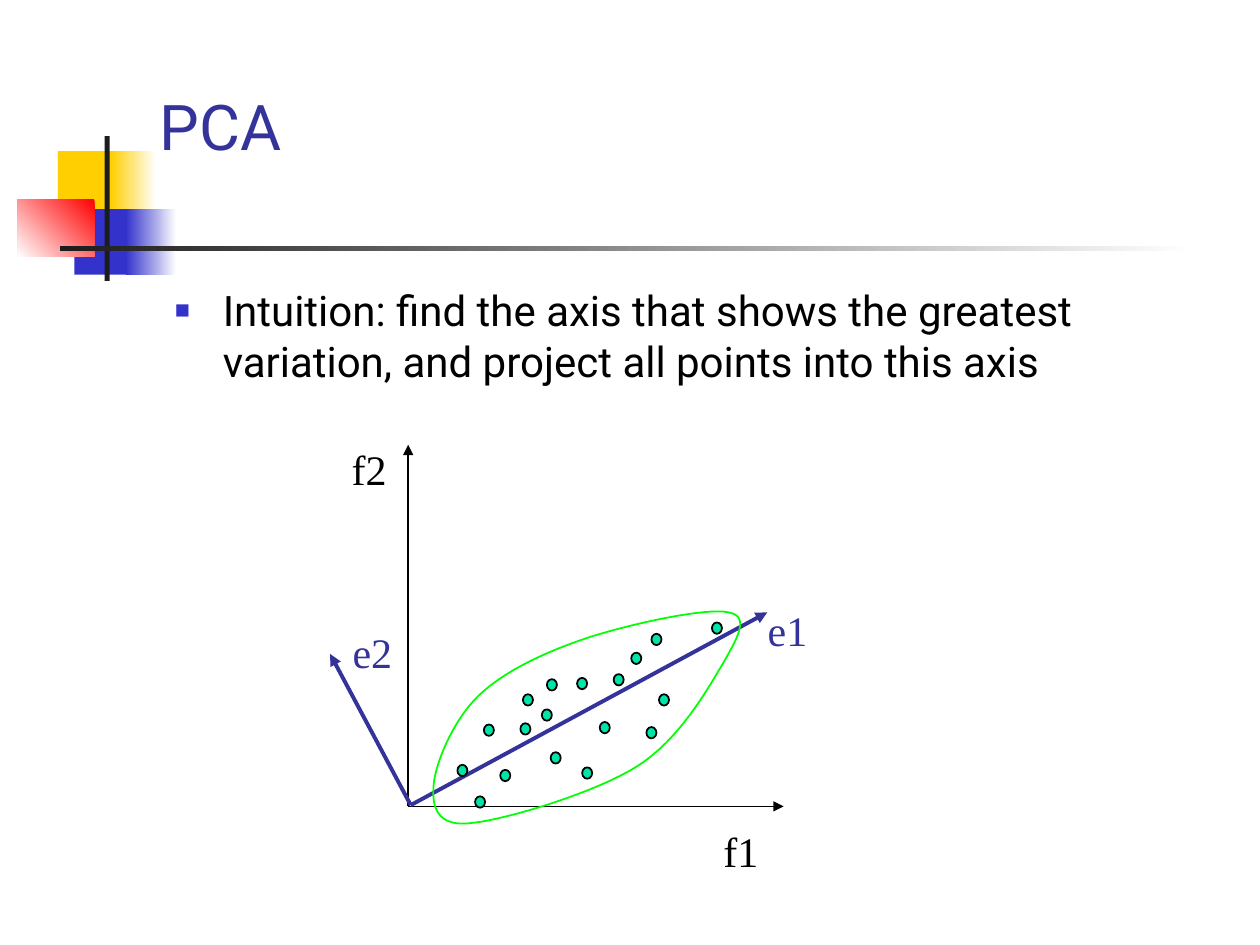
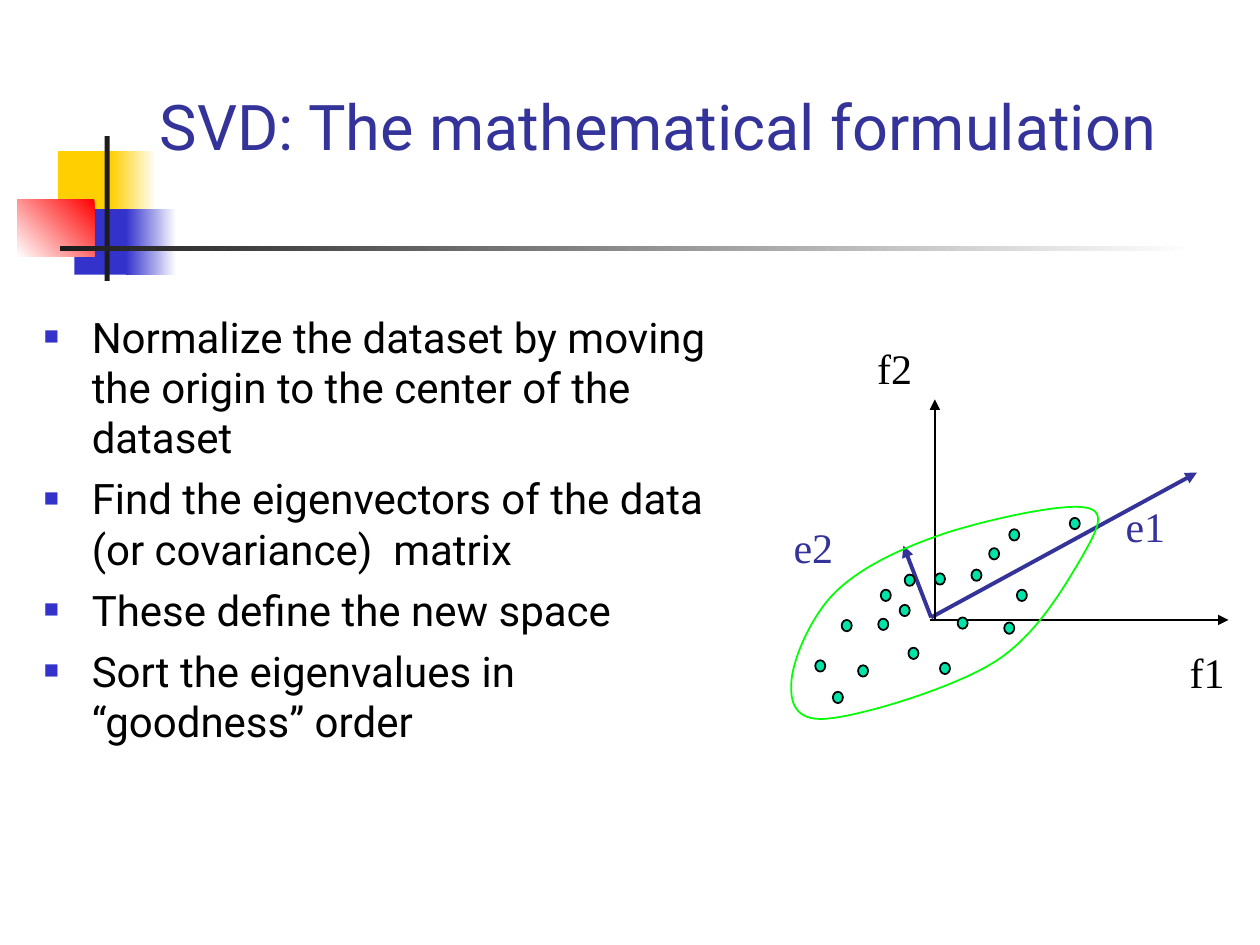
import dataclasses
import typing

import lxml.etree
import pptx
import pptx.dml.color
import pptx.enum.shapes
import pptx.enum.text
import pptx.oxml.ns
import pptx.shapes.autoshape
import pptx.slide
import pptx.text.text
import pptx.util

Inches = pptx.util.Inches
Pt = pptx.util.Pt
RGBColor = pptx.dml.color.RGBColor
Kind = pptx.enum.shapes.MSO_SHAPE
Anchor = pptx.enum.text.MSO_ANCHOR
qn = pptx.oxml.ns.qn
Spot = tuple[float, float]

# Colours and fonts
WHITE = RGBColor(0xFF, 0xFF, 0xFF)
BLACK = RGBColor(0x00, 0x00, 0x00)
DARK = RGBColor(0x1C, 0x1C, 0x1C)
GOLD = RGBColor(0xFF, 0xCF, 0x01)
BLUE = RGBColor(0x33, 0x33, 0xCC)
NAVY = RGBColor(0x33, 0x33, 0x99)
RED = RGBColor(0xFF, 0x00, 0x00)
MINT = RGBColor(0x00, 0xE4, 0xA8)
GREEN = RGBColor(0x00, 0xFF, 0x00)
SANS = "Roboto"
SERIF = "Times New Roman"
THIN, BOLD = 1, 2.25


@dataclasses.dataclass
class Band:
    left: float
    top: float
    width: float
    height: float
    start: RGBColor
    end: typing.Optional[RGBColor] = None
    angle: float = 180


@dataclasses.dataclass
class Arrow:
    start: Spot
    end: Spot
    color: RGBColor = BLACK
    weight: float = THIN


@dataclasses.dataclass
class Label:
    text: str
    left: float
    top: float
    width: float
    color: RGBColor = BLACK


@dataclasses.dataclass
class Page:
    title: str
    body: tuple[float, float, float]  # left, top, width
    points: list[str]
    shift: Spot  # offset of the data cloud
    arrows: list[Arrow]
    labels: list[Label]


# Ornament behind every title
BANDS = [
    Band(0.46, 1.2, 0.48, 0.52, GOLD),
    Band(0.88, 1.2, 0.36, 0.52, WHITE, GOLD),
    Band(0.59, 1.66, 0.46, 0.52, BLUE),
    Band(1, 1.66, 0.4, 0.52, WHITE, BLUE),
    Band(0.14, 1.58, 0.61, 0.46, RED, WHITE, 225),
    Band(0.83, 1.08, 0.04, 1.15, DARK),
    Band(0.48, 1.95, 9, 0.04, WHITE, DARK),
]

# Data cloud: top left of each dot, and the Bezier outline around them
DOT = (0.08, 0.09)
DOTS = [
    (3.84, 5.75), (4.15, 5.51), (3.63, 6.07), (4.3, 5.63), (4.13, 5.74), (4.76, 5.73),
    (4.62, 6.09), (4.37, 5.97), (4.58, 5.38), (5.23, 5.51), (5.65, 4.94), (3.97, 6.11),
    (4.87, 5.35), (5.17, 5.03), (4.34, 5.39), (5.01, 5.18), (5.13, 5.77), (3.77, 6.32),
]
START = (3.44, 6.26)
CURVES = [
    ((3.44, 6.09), (3.59, 5.72), (3.8, 5.52)),
    ((4.01, 5.32), (4.34, 5.17), (4.67, 5.06)),
    ((5.01, 4.95), (5.61, 4.82), (5.78, 4.86)),
    ((5.96, 4.89), (5.85, 5.07), (5.73, 5.28)),
    ((5.61, 5.48), (5.39, 5.87), (5.06, 6.08)),
    ((4.73, 6.29), (4.03, 6.5), (3.76, 6.53)),
    ((3.49, 6.57), (3.43, 6.43), START),
]
STEPS = 16

PAGES = [
    Page(
        "PCA",
        (1.29, 2.21, 8.5),
        ["Intuition: find the axis that shows the greatest variation, "
         "and project all points into this axis"],
        (0, 0),
        [
            Arrow((3.24, 6.4), (3.24, 3.53)),
            Arrow((3.24, 6.4), (6.22, 6.4)),
            Arrow((3.26, 6.39), (6.09, 4.86), NAVY, BOLD),
            Arrow((3.26, 6.39), (2.62, 5.19), NAVY, BOLD),
        ],
        [
            Label("f1", 5.58, 6.5, 0.6),
            Label("e1", 5.95, 4.75, 0.6, NAVY),
            Label("e2", 2.58, 4.92, 0.75, NAVY),
            Label("f2", 2.63, 3.47, 0.6),
        ],
    ),
    Page(
        "SVD: The mathematical formulation",
        (0.25, 2.42, 5.58),
        [
            "Normalize the dataset by moving the origin to the center of the dataset",
            "Find the eigenvectors of the data (or covariance)  matrix",
            "These define the new space",
            "Sort the eigenvalues in “goodness” order",
        ],
        (2.84, -0.83),
        [
            Arrow((7.38, 4.92), (9.75, 4.92)),
            Arrow((7.39, 4.9), (9.5, 3.75), NAVY, BOLD),
            Arrow((7.39, 4.9), (7.17, 4.33), NAVY, BOLD),
            Arrow((7.42, 4.92), (7.42, 3.17), BLACK, 0.75),
        ],
        [
            Label("f1", 9.28, 5.08, 0.6),
            Label("e1", 8.79, 3.92, 0.6, NAVY),
            Label("e2", 6.08, 4.09, 0.75, NAVY),
            Label("f2", 6.8, 2.67, 0.6),
        ],
    ),
]


def style(para: pptx.text.text._Paragraph, size: float, face: str, color: RGBColor) -> None:
    para.font.size = Pt(size)
    para.font.name = face
    para.font.color.rgb = color


def add_frame(slide: pptx.slide.Slide, left: float, top: float, width: float,
              height: float) -> pptx.text.text.TextFrame:
    box = slide.shapes.add_textbox(Inches(left), Inches(top), Inches(width), Inches(height))
    box.text_frame.word_wrap = True
    return box.text_frame


def draw_band(slide: pptx.slide.Slide, band: Band) -> None:
    shape = slide.shapes.add_shape(Kind.RECTANGLE, Inches(band.left), Inches(band.top),
                                   Inches(band.width), Inches(band.height))
    shape.shadow.inherit = False
    shape.line.fill.background()
    if band.end is None:
        shape.fill.solid()
        shape.fill.fore_color.rgb = band.start
        return
    shape.fill.gradient()
    shape.fill.gradient_angle = band.angle
    for stop, color, place in zip(shape.fill.gradient_stops, (band.start, band.end), (0, 1)):
        stop.color.rgb = color
        stop.position = place


def draw_title(slide: pptx.slide.Slide, text: str) -> None:
    frame = add_frame(slide, 1.17, 0.5, 8.52, 0.84)
    frame.vertical_anchor = Anchor.BOTTOM
    frame.text = text
    style(frame.paragraphs[0], 36, SANS, NAVY)


def add_bullet(para: pptx.text.text._Paragraph) -> None:
    props = para._p.get_or_add_pPr()
    props.set("marL", str(Inches(0.38)))
    props.set("indent", str(-Inches(0.38)))
    tint = lxml.etree.SubElement(props, qn("a:buClr"))
    lxml.etree.SubElement(tint, qn("a:srgbClr"), val=str(BLUE))
    lxml.etree.SubElement(props, qn("a:buSzPct"), val="60000")
    lxml.etree.SubElement(props, qn("a:buFont"), typeface=SERIF)
    lxml.etree.SubElement(props, qn("a:buChar"), char="■")


def draw_body(slide: pptx.slide.Slide, page: Page) -> None:
    frame = add_frame(slide, *page.body, 4.5)
    frame.text = "\n".join(page.points)
    for para in frame.paragraphs:
        add_bullet(para)
        para.space_before = Pt(6)
        style(para, 24, SANS, BLACK)


def draw_arrow(slide: pptx.slide.Slide, arrow: Arrow) -> None:
    ends = [Inches(value) for value in (*arrow.start, *arrow.end)]
    line = slide.shapes.add_connector(pptx.enum.shapes.MSO_CONNECTOR.STRAIGHT, *ends)
    line.line.color.rgb = arrow.color
    line.line.width = Pt(arrow.weight)
    props = line.element.spPr
    lxml.etree.SubElement(props.find(qn("a:ln")), qn("a:tailEnd"), type="triangle")
    lxml.etree.SubElement(props, qn("a:effectLst"))


def trace() -> list[Spot]:
    """Sample the closed Bezier outline."""
    spots, first = [], START
    for second, third, last in CURVES:
        for step in range(1, STEPS + 1):
            t = step / STEPS
            u = 1 - t
            spots.append(tuple(
                u**3 * a + 3 * u * u * t * b + 3 * u * t * t * c + t**3 * d
                for a, b, c, d in zip(first, second, third, last)))
        first = last
    return spots


def draw_cloud(slide: pptx.slide.Slide, shift: Spot) -> None:
    right, down = shift

    def place(spot: Spot) -> tuple[int, int]:
        return Inches(spot[0] + right), Inches(spot[1] + down)

    for spot in DOTS:
        dot = slide.shapes.add_shape(Kind.OVAL, *place(spot), *map(Inches, DOT))
        dot.shadow.inherit = False
        dot.fill.solid()
        dot.fill.fore_color.rgb = MINT
        dot.line.color.rgb = BLACK
        dot.line.width = Pt(THIN)

    pen = slide.shapes.build_freeform(*place(START))
    pen.add_line_segments([place(spot) for spot in trace()], close=True)
    ring = pen.convert_to_shape()
    ring.shadow.inherit = False
    ring.fill.background()
    ring.line.color.rgb = GREEN
    ring.line.width = Pt(THIN)


def draw_label(slide: pptx.slide.Slide, label: Label) -> None:
    frame = add_frame(slide, label.left, label.top, label.width, 0.5)
    frame.vertical_anchor = Anchor.MIDDLE
    frame.text = label.text
    para = frame.paragraphs[0]
    para.alignment = pptx.enum.text.PP_ALIGN.CENTER
    style(para, 24, SERIF, label.color)


# Build the deck
deck = pptx.Presentation()
deck.slide_width, deck.slide_height = Inches(10), Inches(7.5)
for page in PAGES:
    slide = deck.slides.add_slide(deck.slide_layouts[6])
    for band in BANDS:
        draw_band(slide, band)
    draw_title(slide, page.title)
    draw_body(slide, page)
    for arrow in page.arrows:
        draw_arrow(slide, arrow)
    draw_cloud(slide, page.shift)
    for label in page.labels:
        draw_label(slide, label)
deck.save("out.pptx")
